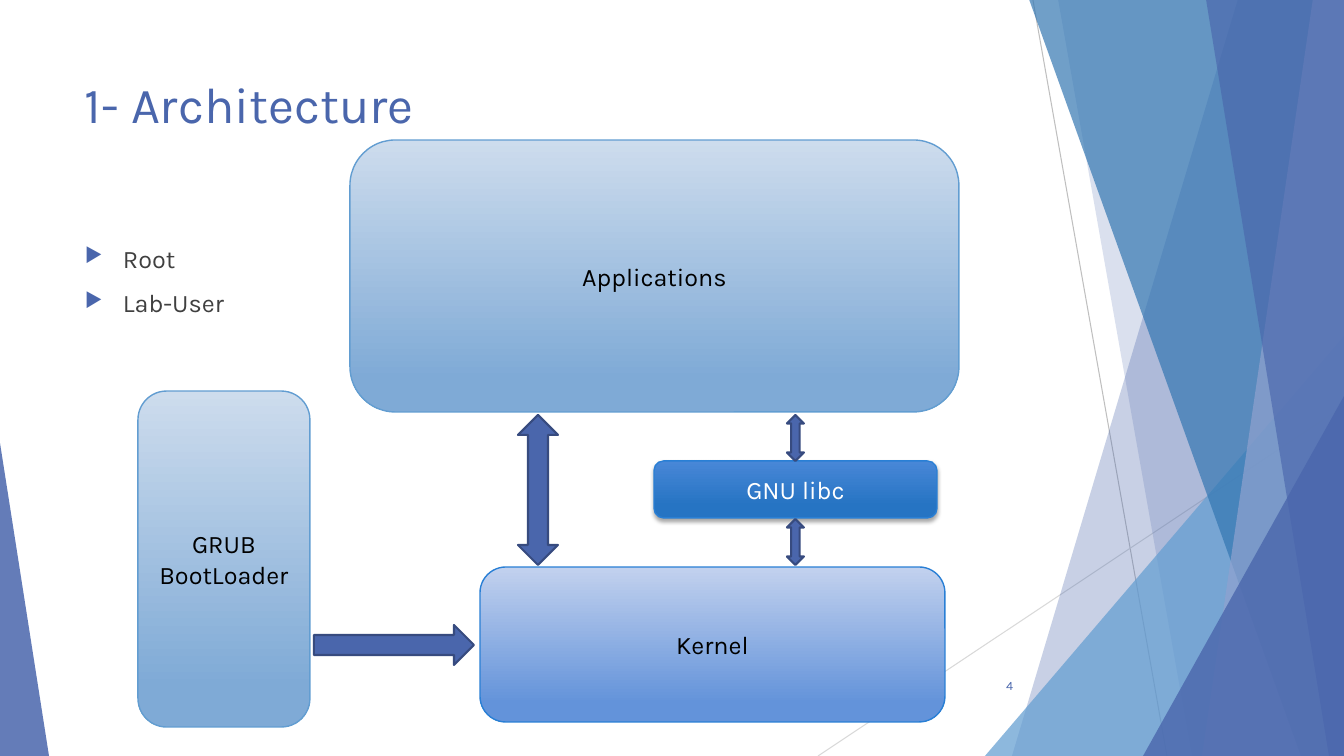
"""Build the Architecture slide: applications, libc, kernel and boot loader."""
from dataclasses import dataclass

from lxml.etree import SubElement
from pptx import Presentation
from pptx.dml.color import RGBColor
from pptx.enum.shapes import MSO_CONNECTOR as Connector, MSO_SHAPE as Shape
from pptx.enum.text import MSO_ANCHOR as Anchor, PP_ALIGN as Align
from pptx.oxml.ns import qn
from pptx.util import Emu, Pt

PX = 914400 / 100.8
WIDTH, HEIGHT = 1344, 756


@dataclass(frozen=True)
class Theme:
    font: str = "Karla"
    accent: str = "4A66AC"
    edge: str = "374B7F"
    sky: str = "629DD1"
    ocean: str = "3477B2"
    haze: str = "90A2CF"
    royal: str = "297FD5"
    body: str = "404040"
    black: str = "000000"
    white: str = "FFFFFF"
    title_size: int = 36
    text_size: int = 18
    number_size: int = 9


THEME = Theme()
PALE = (("CDDCED", 0), ("7FAAD6", 0.88))
LILAC = (("C2D1EE", 0), ("6393DA", 0.88))
DEEP = (("4887D7", 0), ("2674C3", 0.78))

TITLE = "1- Architecture"
USERS = ["Root", "Lab-User"]
PAGE_NUMBER = "4"

RAYS = [
    ((1033, 0), (1167, HEIGHT), "BFBFBF"),
    ((WIDTH, 406), (818, HEIGHT), "D9D9D9"),
]
FACETS = [
    ("band", (1238, 1012), THEME.accent, 30),
    ("band", (1058, 1192), THEME.accent, 20),
    ("triangle", (985, 336, 359, 1), THEME.sky, 72),
    ("band", (1029, 1301), THEME.ocean, 70),
    ("band", (1313, 1202), THEME.haze, 70),
    ("band", (1206, 1329), THEME.accent, 65),
    ("triangle", (1143, 396, 201, 1), THEME.accent, 80),
    ("triangle", (0, 443, 49, 0), THEME.accent, 85),
]
BLOCKS = [
    (["GRUB", "BootLoader"], (138, 391, 172, 336), PALE, THEME.sky, THEME.black),
    (["Kernel"], (480, 567, 465, 155), LILAC, THEME.royal, THEME.black),
    (["GNU libc"], (654, 461, 283, 57), DEEP, THEME.royal, THEME.white),
    (["Applications"], (350, 140, 609, 272), PALE, THEME.sky, THEME.black),
]
RAISED = "GNU libc"
ARROWS = [
    (Shape.RIGHT_ARROW, (314, 625, 160, 40)),
    (Shape.UP_DOWN_ARROW, (518, 415, 40, 150)),
    (Shape.UP_DOWN_ARROW, (787, 519, 17, 46)),
    (Shape.UP_DOWN_ARROW, (787, 415, 17, 46)),
]


def px(*lengths):
    return [Emu(round(length * PX)) for length in lengths]


def color(code):
    return RGBColor.from_string(code)


def outline(shape, code, width):
    shape.line.color.rgb = color(code)
    shape.line.width = Pt(width)


def add_preset(page, kind, box):
    shape = page.shapes.add_shape(kind, *px(*box))
    shape.shadow.inherit = False
    return shape


def write(frame, lines, size, code, align=Align.LEFT, anchor=Anchor.TOP):
    frame.word_wrap = True
    frame.vertical_anchor = anchor
    frame.text = "\n".join(lines)
    for para in frame.paragraphs:
        para.alignment = align
        for span in para.runs:
            span.font.name = THEME.font
            span.font.size = Pt(size)
            span.font.color.rgb = color(code)


def add_text(page, box, lines, size, code, **layout):
    frame = page.shapes.add_textbox(*px(*box)).text_frame
    write(frame, lines, size, code, **layout)
    return frame


def add_bullet(para):
    props = para._p.get_or_add_pPr()
    indent = px(38)[0]
    props.set("marL", str(indent))
    props.set("indent", str(-indent))
    SubElement(SubElement(props, qn("a:buClr")), qn("a:srgbClr"), val=THEME.accent)
    SubElement(props, qn("a:buSzPct"), val="80000")
    SubElement(props, qn("a:buChar"), char="▶")


def add_ray(page, start, end, code):
    ray = page.shapes.add_connector(Connector.STRAIGHT, *px(*start, *end))
    outline(ray, code, 0.75)
    SubElement(ray.element.spPr, qn("a:effectLst"))


def add_facet(page, kind, place, code, opacity):
    if kind == "band":
        top, bottom = place
        builder = page.shapes.build_freeform(top, -1, scale=PX)
        builder.add_line_segments([(WIDTH, -1), (WIDTH, HEIGHT), (bottom, HEIGHT)])
        facet = builder.convert_to_shape()
        facet.shadow.inherit = False
    else:
        left, top, width, apex = place
        box = (left, top, width, HEIGHT - top)
        facet = add_preset(page, Shape.ISOSCELES_TRIANGLE, box)
        facet.adjustments[0] = apex
    facet.fill.solid()
    facet.fill.fore_color.rgb = color(code)
    facet.line.fill.background()
    tone = facet.element.spPr.find(f"{qn('a:solidFill')}/{qn('a:srgbClr')}")
    SubElement(tone, qn("a:alpha"), val=str(opacity * 1000))


def add_drop_shadow(shape):
    effects = shape.element.spPr.find(qn("a:effectLst"))
    shadow = SubElement(effects, qn("a:outerShdw"), blurRad=str(Pt(3)),
                        dist=str(Pt(2)), dir="5400000", rotWithShape="0")
    tone = SubElement(shadow, qn("a:srgbClr"), val=THEME.black)
    SubElement(tone, qn("a:alpha"), val="35000")


def add_block(page, lines, box, gradient, edge, ink):
    block = add_preset(page, Shape.ROUNDED_RECTANGLE, box)
    block.fill.gradient()
    block.fill.gradient_angle = 270
    for stop, (code, position) in zip(block.fill.gradient_stops, gradient):
        stop.color.rgb = color(code)
        stop.position = position
    outline(block, edge, 1)
    write(block.text_frame, lines, THEME.text_size, ink, Align.CENTER, Anchor.MIDDLE)
    if RAISED in lines:
        add_drop_shadow(block)


def add_arrow(page, kind, box):
    arrow = add_preset(page, kind, box)
    arrow.fill.solid()
    arrow.fill.fore_color.rgb = color(THEME.accent)
    outline(arrow, THEME.edge, 1.5)


def main():
    deck = Presentation()
    deck.slide_width, deck.slide_height = px(WIDTH, HEIGHT)
    page = deck.slides.add_slide(deck.slide_layouts[6])
    for ray in RAYS:
        add_ray(page, *ray)
    for facet in FACETS:
        add_facet(page, *facet)
    add_text(page, (75, 68, 948, 145), [TITLE], THEME.title_size, THEME.accent)
    users = add_text(page, (75, 238, 948, 427), USERS, THEME.text_size, THEME.body)
    for index, para in enumerate(users.paragraphs):
        add_bullet(para)
        para.space_before = Pt(10 if index else 0)
    add_text(page, (947, 666, 76, 40), [PAGE_NUMBER], THEME.number_size,
             THEME.accent, align=Align.RIGHT, anchor=Anchor.MIDDLE)
    for block in BLOCKS:
        add_block(page, *block)
    for arrow in ARROWS:
        add_arrow(page, *arrow)
    deck.save("out.pptx")


if __name__ == "__main__":
    main()
